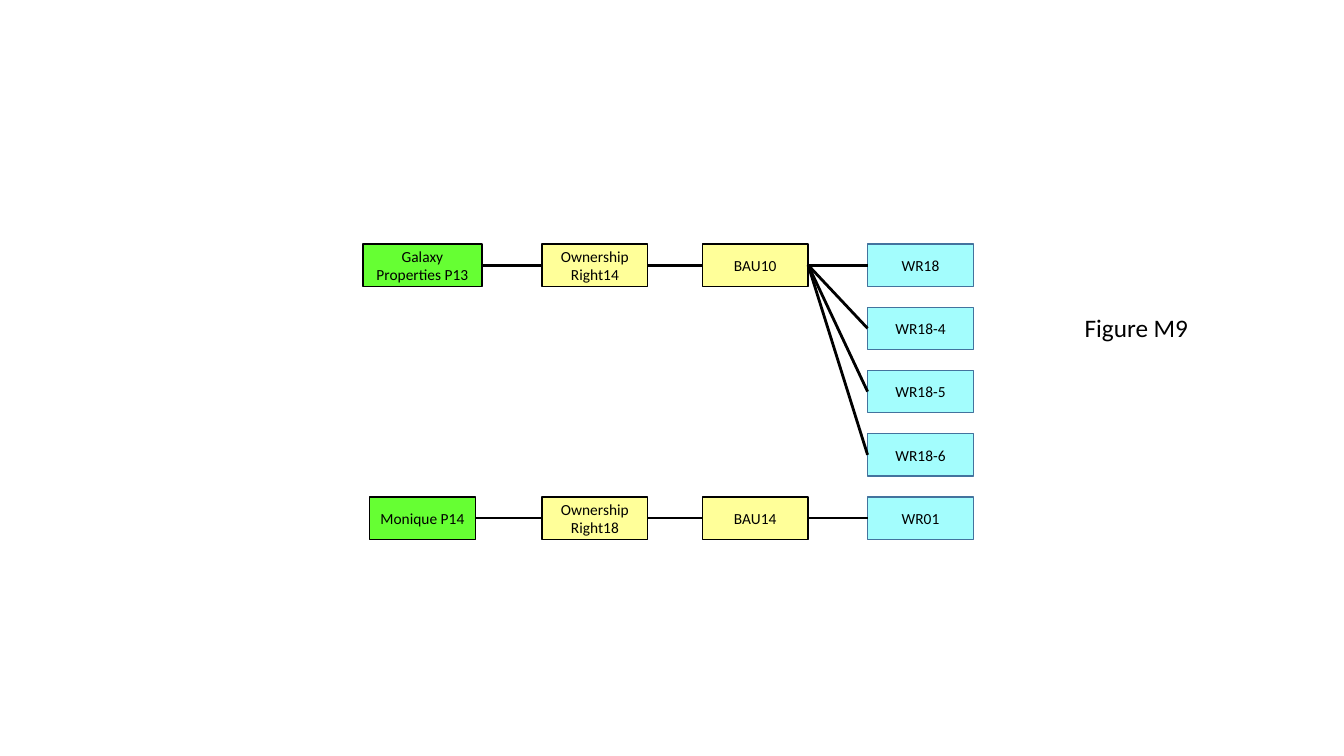
from pptx import Presentation
from pptx import util as u
from pptx.dml.color import RGBColor
from pptx.enum import shapes, text
from pptx.oxml.ns import qn
from lxml import etree

# Content: name -> (kind, column, row)
NODES = {
    "Galaxy Properties P13": ("party", 0, 0),
    "Ownership Right14": ("right", 1, 0),
    "BAU10": ("right", 2, 0),
    "WR18": ("water", 3, 0),
    "WR18-4": ("water", 3, 1),
    "WR18-5": ("water", 3, 2),
    "WR18-6": ("water", 3, 3),
    "Monique P14": ("party", 0, 4),
    "Ownership Right18": ("right", 1, 4),
    "BAU14": ("right", 2, 4),
    "WR01": ("water", 3, 4),
}
LINKS = [
    ("Galaxy Properties P13", "Ownership Right14"),
    ("Ownership Right14", "BAU10"),
    ("BAU10", "WR18"),
    ("BAU10", "WR18-4"),
    ("BAU10", "WR18-5"),
    ("BAU10", "WR18-6"),
    ("Monique P14", "Ownership Right18"),
    ("Ownership Right18", "BAU14"),
    ("BAU14", "WR01"),
]
LABEL = "Figure M9"

THEME = {
    "font": "Calibri", "ink": "000000", "node": 11, "label": 18,
    # kind: fill, opacity in percent, outline
    "party": ("66FF33", 100, "000000"),
    "right": ("FFFF99", 100, "000000"),
    "water": ("69FDFD", 61, "43739E"),
}

# Layout in inches
MIDS = [4.19, 5.9, 7.49, 9.13]  # column centres
TOP, LAST = 2.42, 4.93
STEP = (LAST - TOP) / 4
WIDE, HIGH = 1.05, 0.42
WIDTHS = {"Galaxy Properties P13": 1.18}
LEFT, RIGHT = 1, 3  # connection sites of a rectangle


def rgb(code):
    return RGBColor.from_string(code)


def write(shape, words, size, align=text.PP_ALIGN.LEFT,
          anchor=text.MSO_ANCHOR.TOP, inset=0.1):
    frame = shape.text_frame
    frame.word_wrap = True
    frame.vertical_anchor = anchor
    frame.margin_left = frame.margin_right = u.Inches(inset)
    para = frame.paragraphs[0]
    para.alignment = align
    run = para.add_run()
    run.text = words
    run.font.name, run.font.size = THEME["font"], u.Pt(size)
    run.font.color.rgb = rgb(THEME["ink"])


def add_node(slide, name, kind, col, row):
    wide = WIDTHS.get(name, WIDE)
    box = slide.shapes.add_shape(
        shapes.MSO_SHAPE.RECTANGLE, u.Inches(MIDS[col] - wide / 2),
        u.Inches(TOP + row * STEP), u.Inches(wide), u.Inches(HIGH))
    fill, alpha, edge = THEME[kind]
    box.shadow.inherit = False
    box.fill.solid()
    box.fill.fore_color.rgb = rgb(fill)
    if alpha < 100:
        tint = box.fill._xPr.find(qn("a:solidFill"))[0]
        etree.SubElement(tint, qn("a:alpha"), val=str(alpha * 1000))
    box.line.color.rgb = rgb(edge)
    box.line.width = u.Pt(1)
    write(box, name, THEME["node"], align=text.PP_ALIGN.CENTER,
          anchor=text.MSO_ANCHOR.MIDDLE, inset=0.05)
    return box


def add_link(slide, start, end):
    line = slide.shapes.add_connector(shapes.MSO_CONNECTOR.STRAIGHT, 0, 0, 0, 0)
    line.begin_connect(start, RIGHT)
    line.end_connect(end, LEFT)
    line.line.color.rgb = rgb(THEME["ink"])
    line.line.width = u.Pt(2)
    etree.SubElement(line._element.spPr, qn("a:effectLst"))


def main():
    deck = Presentation()
    deck.slide_width, deck.slide_height = u.Inches(13.33), u.Inches(7.5)
    slide = deck.slides.add_slide(deck.slide_layouts[6])

    # Boxes, then the links between them
    boxes = {name: add_node(slide, name, *spot) for name, spot in NODES.items()}
    for start, end in LINKS:
        add_link(slide, boxes[start], boxes[end])

    # Figure label beside the second row
    label = slide.shapes.add_textbox(
        u.Inches(10.66), u.Inches(TOP + STEP), u.Inches(1.76), u.Inches(0.4))
    write(label, LABEL, THEME["label"])

    deck.save("out.pptx")


if __name__ == "__main__":
    main()
